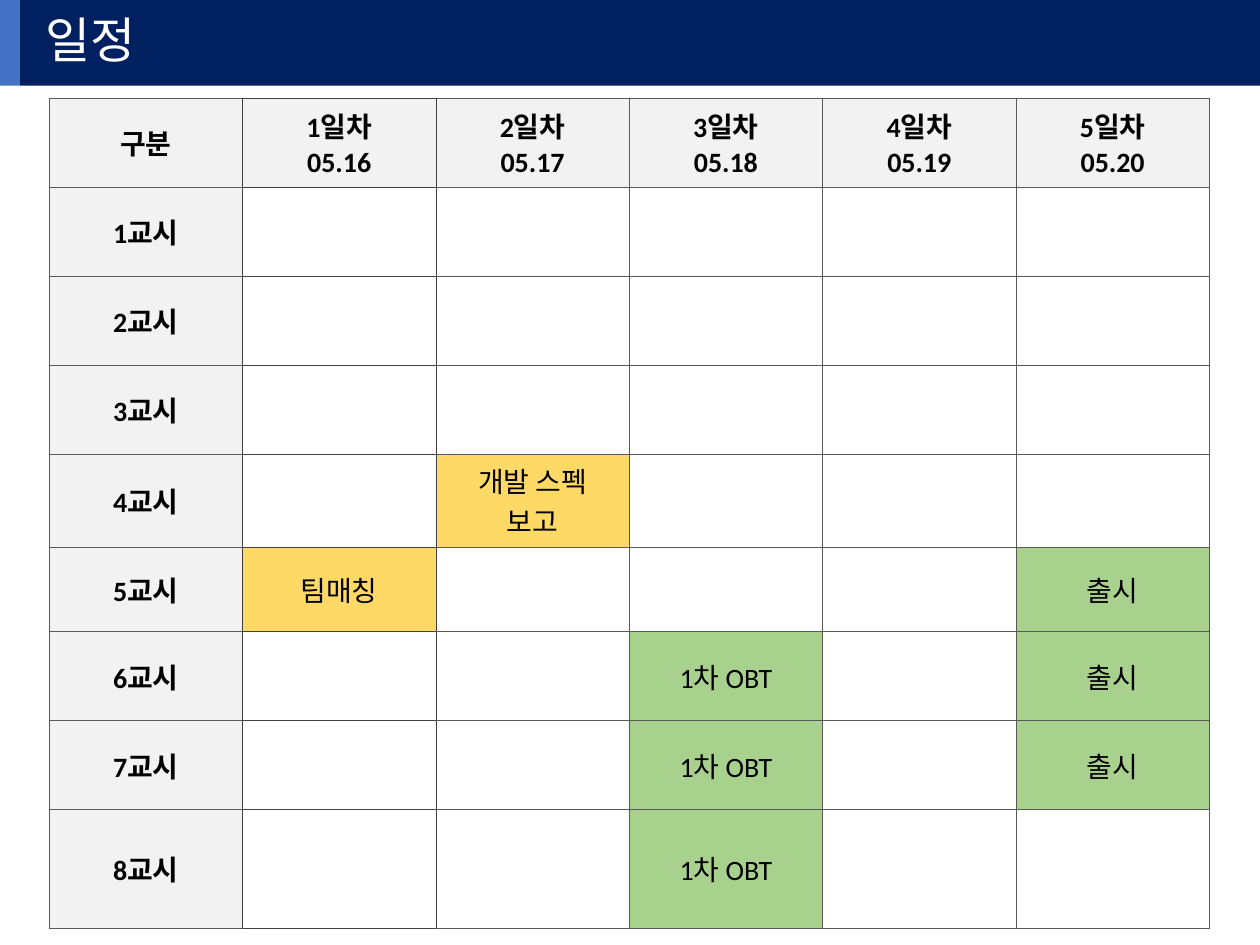
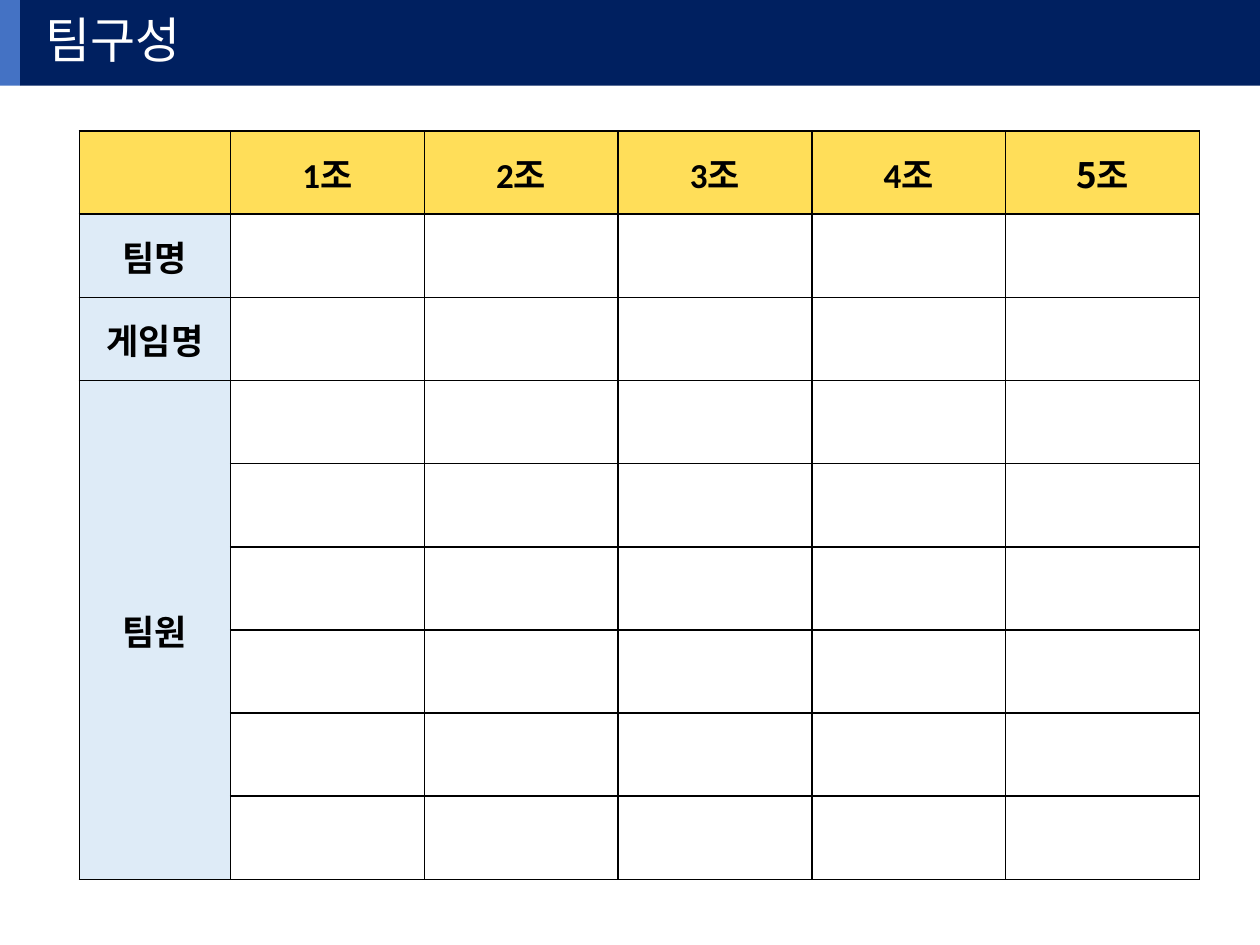
from dataclasses import dataclass, field

from lxml import etree
from pptx import Presentation, util as u
from pptx.dml.color import RGBColor
from pptx.enum import shapes, text
from pptx.oxml import ns

SLIDE_W, SLIDE_H = 10, 7.5
BAND_H, ACCENT_W = 0.68, 0.16
LATIN, KOREAN = "Calibri", "Noto Sans CJK KR"
NAVY, BLUE, WHITE, BLACK = "002060", "4472C4", "FFFFFF", "000000"
GREY, YELLOW, GREEN = "F2F2F2", "FFD966", "A9D18E"
TEAM_YELLOW, TEAM_BLUE = "FFDE59", "DEEBF7"
EDGE, DARK_EDGE = "595959", "404040"


@dataclass(frozen=True)
class Entry:
    """Text, fill and format of one table cell."""
    label: str = ""
    fill: str = WHITE
    bold: bool = False
    font: str = LATIN


@dataclass(frozen=True)
class Grid:
    """Place, tracks and entries of one table."""
    left: float
    top: float
    columns: list[float]
    rows: list[float]
    entries: dict[tuple[int, int], Entry]
    size: int
    edge: str
    edge_width: float
    insets: tuple[float, float, float, float] = (0.1, 0.05, 0.1, 0.05)
    dark_column: int | None = None
    merges: list[tuple[int, int, int, int]] = field(default_factory=list)


def rgb(value: str) -> RGBColor:
    return RGBColor.from_string(value)


def paint(target, color: str) -> None:
    target.fill.solid()
    target.fill.fore_color.rgb = rgb(color)


def place(shape, left: float, top: float, width: float, height: float) -> None:
    shape.left, shape.top = u.Inches(left), u.Inches(top)
    shape.width, shape.height = u.Inches(width), u.Inches(height)


def set_insets(frame, left: float, top: float, right: float, bottom: float) -> None:
    frame.margin_left, frame.margin_top = u.Inches(left), u.Inches(top)
    frame.margin_right, frame.margin_bottom = u.Inches(right), u.Inches(bottom)


def write(frame, content: str, *, size: float, color: str = BLACK, bold: bool = False,
          font: str = LATIN, align=text.PP_ALIGN.CENTER, spacing: float = 1.0) -> None:
    """Fill a text frame, one paragraph a line."""
    frame.text = content
    for paragraph in frame.paragraphs:
        paragraph.alignment = align
        paragraph.line_spacing = spacing
        for run in paragraph.runs:
            run.font.size = u.Pt(size)
            run.font.bold = bold
            run.font.color.rgb = rgb(color)
            run.font.name = font
            properties = run.font.element if hasattr(run.font, "element") else run._r.get_or_add_rPr()
            etree.SubElement(properties, ns.qn("a:ea"), typeface=KOREAN)


def draw_edges(cell, width: float, colors: dict[str, str]) -> None:
    properties = cell._tc.get_or_add_tcPr()
    for side, color in colors.items():
        line = etree.SubElement(properties, ns.qn(f"a:ln{side}"), w=str(u.Pt(width)))
        solid = etree.SubElement(line, ns.qn("a:solidFill"))
        etree.SubElement(solid, ns.qn("a:srgbClr"), val=color)


def edge_colors(grid: Grid, column: int) -> dict[str, str]:
    """Colours by side; the dark column also darkens its neighbours' shared edges."""
    colors = dict.fromkeys("LRTB", grid.edge)
    if grid.dark_column is not None:
        dark_sides = {-1: "R", 0: "LRTB", 1: "L"}.get(column - grid.dark_column, "")
        colors.update(dict.fromkeys(dark_sides, DARK_EDGE))
    return colors


def add_grid(slide, grid: Grid) -> None:
    lengths = (grid.left, grid.top, sum(grid.columns), sum(grid.rows))
    table = slide.shapes.add_table(len(grid.rows), len(grid.columns),
                                   *map(u.Inches, lengths)).table
    table.first_row = table.horz_banding = False
    for column, width in zip(table.columns, grid.columns):
        column.width = u.Inches(width)
    for row, height in zip(table.rows, grid.rows):
        row.height = u.Inches(height)
    for top, left, bottom, right in grid.merges:
        table.cell(top, left).merge(table.cell(bottom, right))
    for r in range(len(grid.rows)):
        for c in range(len(grid.columns)):
            cell, entry = table.cell(r, c), grid.entries.get((r, c), Entry())
            draw_edges(cell, grid.edge_width, edge_colors(grid, c))
            paint(cell, entry.fill)
            if entry.label:
                set_insets(cell, *grid.insets)
                cell.vertical_anchor = text.MSO_ANCHOR.MIDDLE
                write(cell.text_frame, entry.label, size=grid.size,
                      bold=entry.bold, font=entry.font)


def add_titled_slide(deck, layout, heading: str):
    slide = deck.slides.add_slide(layout)
    title = slide.shapes.title
    frame = title.text_frame
    frame.vertical_anchor = text.MSO_ANCHOR.MIDDLE
    frame.auto_size = text.MSO_AUTO_SIZE.NONE
    set_insets(frame, 0.2, 0.05, 0.1, 0.05)
    write(frame, heading, size=28, color=WHITE, font=KOREAN,
          align=text.PP_ALIGN.LEFT, spacing=0.9)
    return slide


def prepare_layout(deck):
    """Give the title-only layout its navy title band and blue accent."""
    layout = deck.slide_layouts.get_by_name("Title Only")
    band = next(p for p in layout.placeholders
                if p.placeholder_format.type == shapes.PP_PLACEHOLDER.TITLE)
    place(band, ACCENT_W, 0, SLIDE_W - ACCENT_W, BAND_H)
    paint(band, NAVY)
    return layout


def add_accent(slide, layout) -> None:
    """Draw the accent once and hand it to the layout that all slides share."""
    accent = slide.shapes.add_shape(shapes.MSO_SHAPE.RECTANGLE, 0, 0,
                                    u.Inches(ACCENT_W), u.Inches(BAND_H))
    accent.shadow.inherit = False
    paint(accent, BLUE)
    accent.line.fill.background()
    layout.shapes.element.append(accent.element)


def schedule_grid() -> Grid:
    days, periods = 5, 8
    row = 6.35 / 9
    entries = {(0, 0): Entry("구분", GREY, True)}
    for day in range(1, days + 1):
        entries[0, day] = Entry(f"{day}일차\n05.{15 + day}", GREY, True)
    for period in range(1, periods + 1):
        entries[period, 0] = Entry(f"{period}교시", GREY, True)
    entries[4, 2] = Entry("개발 스펙\n보고", YELLOW)
    entries[5, 1] = Entry("팀매칭", YELLOW)
    for period in (5, 6, 7):
        entries[period, 5] = Entry("출시", GREEN)
        entries[period + 1, 3] = Entry("1차 OBT", GREEN)
    return Grid(left=0.39, top=0.78, columns=[9.21 / 6] * 6,
                rows=[row] * 5 + [0.67] + [row] * 2 + [0.94],
                entries=entries, size=16, edge=EDGE, edge_width=0.25, dark_column=1)


def team_grid() -> Grid:
    teams = 5
    entries = {(0, 0): Entry(fill=TEAM_YELLOW)}
    for team in range(1, teams + 1):
        font = KOREAN if team == teams else LATIN
        entries[0, team] = Entry(f"{team}조", TEAM_YELLOW, True, font)
    for row, label in enumerate(("팀명", "게임명", "팀원"), start=1):
        entries[row, 0] = Entry(label, TEAM_BLUE, True)
    return Grid(left=0.63, top=1.04, columns=[1.2] + [7.69 / teams] * teams,
                rows=[0.66] * 9, entries=entries, size=20, edge=BLACK, edge_width=1,
                insets=(0.01, 0.01, 0.01, 0), merges=[(3, 0, 8, 0)])


def main() -> None:
    deck = Presentation()
    deck.slide_width, deck.slide_height = u.Inches(SLIDE_W), u.Inches(SLIDE_H)
    layout = prepare_layout(deck)
    schedule = add_titled_slide(deck, layout, "일정")
    add_accent(schedule, layout)
    add_grid(schedule, schedule_grid())
    add_grid(add_titled_slide(deck, layout, "팀구성"), team_grid())
    # Slide titles take their band from the layout; the fill is repeated for each title.
    for slide in deck.slides:
        paint(slide.shapes.title, NAVY)
    deck.save("out.pptx")


if __name__ == "__main__":
    main()
